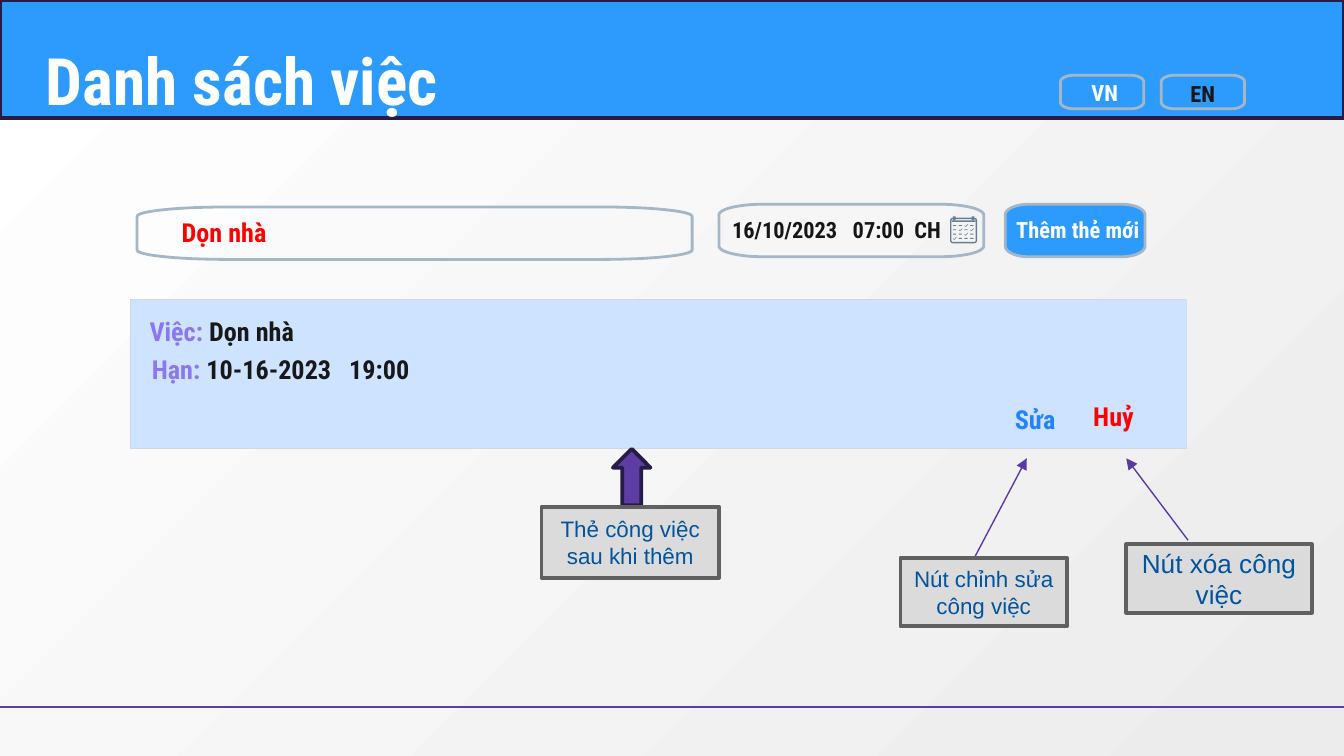
from dataclasses import dataclass
from math import cos, pi, sin

from lxml import etree
from pptx import Presentation
from pptx.dml.color import RGBColor
from pptx.enum.shapes import MSO_CONNECTOR, MSO_SHAPE
from pptx.enum.text import MSO_ANCHOR, PP_ALIGN
from pptx.oxml.ns import qn
from pptx.util import Inches, Pt

RECTANGLE = MSO_SHAPE.RECTANGLE
DOWN_ARROW = MSO_SHAPE.DOWN_ARROW
STRAIGHT = MSO_CONNECTOR.STRAIGHT
CENTER = PP_ALIGN.CENTER
MIDDLE = MSO_ANCHOR.MIDDLE


@dataclass(frozen=True)
class Theme:
    heading_font: str = "Roboto Condensed"
    note_font: str = "Arial"
    title_size: int = 35
    body_size: int = 14
    small_size: int = 12
    white: str = "FFFFFF"
    backdrop_end: str = "ECECEC"
    blue: str = "2D9BFE"
    navy: str = "281B48"
    purple: str = "5C3DA4"
    pointer: str = "5939A3"
    outline: str = "A5B7C6"
    icon: str = "657E93"
    ink: str = "161616"
    card_ink: str = "181818"
    label: str = "8C77EF"
    red: str = "FF0000"
    edit: str = "2382FF"
    card: str = "CEE3FF"
    card_line: str = "CFD9E0"
    note_fill: str = "DBDBDB"
    note_line: str = "606060"
    note_text: str = "01539D"


THEME = Theme()


def rgb(value):
    return RGBColor.from_string(value)


def paint(shape, fill=None, line=None, width=1.5):
    shape.shadow.inherit = False
    if fill:
        shape.fill.solid()
        shape.fill.fore_color.rgb = rgb(fill)
    else:
        shape.fill.background()
    if line:
        shape.line.color.rgb = rgb(line)
        shape.line.width = Pt(width)
    else:
        shape.line.fill.background()


def add_block(shapes, kind, box, fill, line=None, width=2):
    shape = shapes.add_shape(kind, *map(Inches, box))
    paint(shape, fill, line, width)
    return shape


def add_text(slide, box, runs, size):
    """Add one centred bold line; runs are (text, colour) pairs."""
    frame = slide.shapes.add_textbox(*map(Inches, box)).text_frame
    frame.word_wrap = True
    frame.margin_left = frame.margin_right = Inches(0.1)
    frame.margin_top = frame.margin_bottom = Inches(0.1)
    paragraph = frame.paragraphs[0]
    paragraph.alignment = CENTER
    paragraph.font.name = THEME.heading_font
    paragraph.font.size = Pt(size)
    paragraph.font.bold = True
    for text, color in runs:
        run = paragraph.add_run()
        run.text = text
        run.font.color.rgb = rgb(color)


def rounded_points(left, top, width, height, radius_x, radius_y, steps=12):
    """Trace a rectangle whose corners are quarter ellipses."""
    right, bottom = left + width - radius_x, top + height - radius_y
    left, top = left + radius_x, top + radius_y
    centers = [(right, bottom), (left, bottom), (left, top), (right, top)]
    points = []
    for quarter, (x, y) in enumerate(centers):
        for step in range(steps + 1):
            angle = (quarter + step / steps) * pi / 2
            points.append((x + radius_x * cos(angle), y + radius_y * sin(angle)))
    return points


def add_outline(shapes, contours, **style):
    builder = None
    for contour in contours:
        first, *rest = [(Inches(x), Inches(y)) for x, y in contour]
        if builder is None:
            builder = shapes.build_freeform(*first)
        else:
            builder.move_to(*first)
        builder.add_line_segments(rest, close=True)
    paint(builder.convert_to_shape(), **style)


def add_field(slide, box, radii, fill=None):
    add_outline(slide.shapes, [rounded_points(*box, *radii)],
                fill=fill, line=THEME.outline)


def add_calendar(slide, left, top):
    shapes = slide.shapes.add_group_shape().shapes

    def bar(x, y, width, height, radius=0.003):
        return rounded_points(left + x, top + y, width, height, radius, radius, 4)

    frame = [bar(0, 0.01, 0.2, 0.19, 0.02), bar(0.01, 0.02, 0.18, 0.17, 0.01)]
    add_outline(shapes, frame, fill=THEME.icon)
    for x in (0.02, 0.16):
        add_outline(shapes, [bar(x, 0, 0.02, 0.03)], fill=THEME.icon)
    add_outline(shapes, [bar(0.01, 0.03, 0.18, 0.01)], fill=THEME.icon)

    tick = [(0, 0.01), (0.01, 0.017), (0.025, 0), (0.028, 0.003), (0.01, 0.022), (0, 0.013)]
    for row, marks in enumerate(("--v-", "-v-v", "--v-", "v---")):
        for column, mark in enumerate(marks):
            x, y = 0.02 + 0.043 * column, 0.065 + 0.032 * row
            if mark == "v":
                contour = [(left + x + dx, top + y - 0.008 + dy) for dx, dy in tick]
            else:
                contour = bar(x, y, 0.025, 0.006)
            add_outline(shapes, [contour], fill=THEME.icon)


def add_line(slide, start, end, color, arrow=False):
    line = slide.shapes.add_connector(STRAIGHT, *map(Inches, start + end))
    line.line.color.rgb = rgb(color)
    line.line.width = Pt(0.75)
    if arrow:
        etree.SubElement(line.line._get_or_add_ln(), qn("a:tailEnd"), type="triangle")
    etree.SubElement(line._element.spPr, qn("a:effectLst"))


def add_note(slide, box, text, size):
    shape = add_block(slide.shapes, RECTANGLE, box, THEME.note_fill, THEME.note_line)
    frame = shape.text_frame
    frame.word_wrap = True
    frame.vertical_anchor = MIDDLE
    paragraph = frame.paragraphs[0]
    paragraph.text = text
    paragraph.alignment = CENTER
    paragraph.font.name = THEME.note_font
    paragraph.font.size = Pt(size)
    paragraph.font.color.rgb = rgb(THEME.note_text)


def set_background(slide):
    fill = slide.background.fill
    fill.gradient()
    fill.gradient_angle = 315
    for stop, color, position in zip(fill.gradient_stops,
                                     (THEME.white, THEME.backdrop_end), (0, 1)):
        stop.color.rgb = rgb(color)
        stop.position = position


def add_header(slide):
    add_block(slide.shapes, RECTANGLE, (0, 0, 10, 0.88), THEME.blue, THEME.navy)
    add_text(slide, (0.2, 0.2, 3.2, 0.61), [("Danh sách việc ", THEME.white)], THEME.title_size)
    for left in (7.89, 8.64):
        add_field(slide, (left, 0.56, 0.62, 0.25), (0.1, 0.05))
    add_text(slide, (8.62, 0.5, 0.66, 0.4), [("EN", THEME.ink)], THEME.small_size)
    add_text(slide, (7.89, 0.49, 0.66, 0.4), [("VN", THEME.white)], THEME.small_size)


def add_form(slide):
    add_field(slide, (1.02, 1.54, 4.13, 0.39), (0.67, 0.07))
    add_field(slide, (5.35, 1.52, 1.97, 0.39), (0.32, 0.08))
    add_field(slide, (7.48, 1.52, 1.04, 0.39), (0.17, 0.08), THEME.blue)
    add_text(slide, (7.42, 1.51, 1.2, 0.4), [("Thêm thẻ mới", THEME.white)], THEME.small_size)
    add_text(slide, (5.25, 1.51, 1.95, 0.4), [("16/10/2023   07:00  CH", THEME.ink)],
             THEME.small_size)
    add_calendar(slide, 7.07, 1.61)
    add_text(slide, (-0.3, 1.51, 3.98, 0.39), [("Dọn nhà ", THEME.red)], THEME.body_size)


def add_task_card(slide):
    shapes = slide.shapes.add_group_shape().shapes
    add_block(shapes, RECTANGLE, (0.97, 2.23, 7.86, 1.11), THEME.card, THEME.card_line, 0.75)
    add_block(shapes, RECTANGLE, (0.99, 2.25, 7.84, 1.07), THEME.card)
    for box, runs in (
        ((0.9, 2.25, 1.59, 0.39), [("Việc: ", THEME.label), ("Dọn nhà  ", THEME.card_ink)]),
        ((0.87, 2.53, 2.53, 0.39),
         [("Hạn: ", THEME.label), ("10-16-2023   19:00  ", THEME.card_ink)]),
        ((6.93, 2.9, 1.59, 0.39), [("Sửa ", THEME.edit)]),
        ((7.49, 2.88, 1.59, 0.39), [("Huỷ", THEME.red)]),
    ):
        add_text(slide, box, runs, THEME.body_size)


def add_notes(slide):
    arrow = add_block(slide.shapes, DOWN_ARROW, (4.56, 3.34, 0.28, 0.42),
                      THEME.purple, THEME.navy)
    arrow.rotation = 180
    add_note(slide, (4.03, 3.77, 1.32, 0.53), "Thẻ công việc sau khi thêm", THEME.small_size)
    add_line(slide, (7.25, 4.15), (7.64, 3.41), THEME.pointer, arrow=True)
    add_line(slide, (8.84, 4.02), (8.38, 3.41), THEME.pointer, arrow=True)
    add_note(slide, (6.7, 4.15, 1.24, 0.51), "Nút chỉnh sửa công việc", THEME.small_size)
    add_note(slide, (8.38, 4.05, 1.38, 0.51), "Nút xóa công việc", THEME.body_size)


def main():
    presentation = Presentation()
    presentation.slide_width = Inches(10)
    presentation.slide_height = presentation.slide_width * 9 // 16
    slide = presentation.slides.add_slide(presentation.slide_layouts[6])
    set_background(slide)
    add_line(slide, (0, 5.26), (10, 5.26), THEME.purple)
    add_header(slide)
    add_form(slide)
    add_task_card(slide)
    add_notes(slide)
    presentation.save("out.pptx")


if __name__ == "__main__":
    main()
